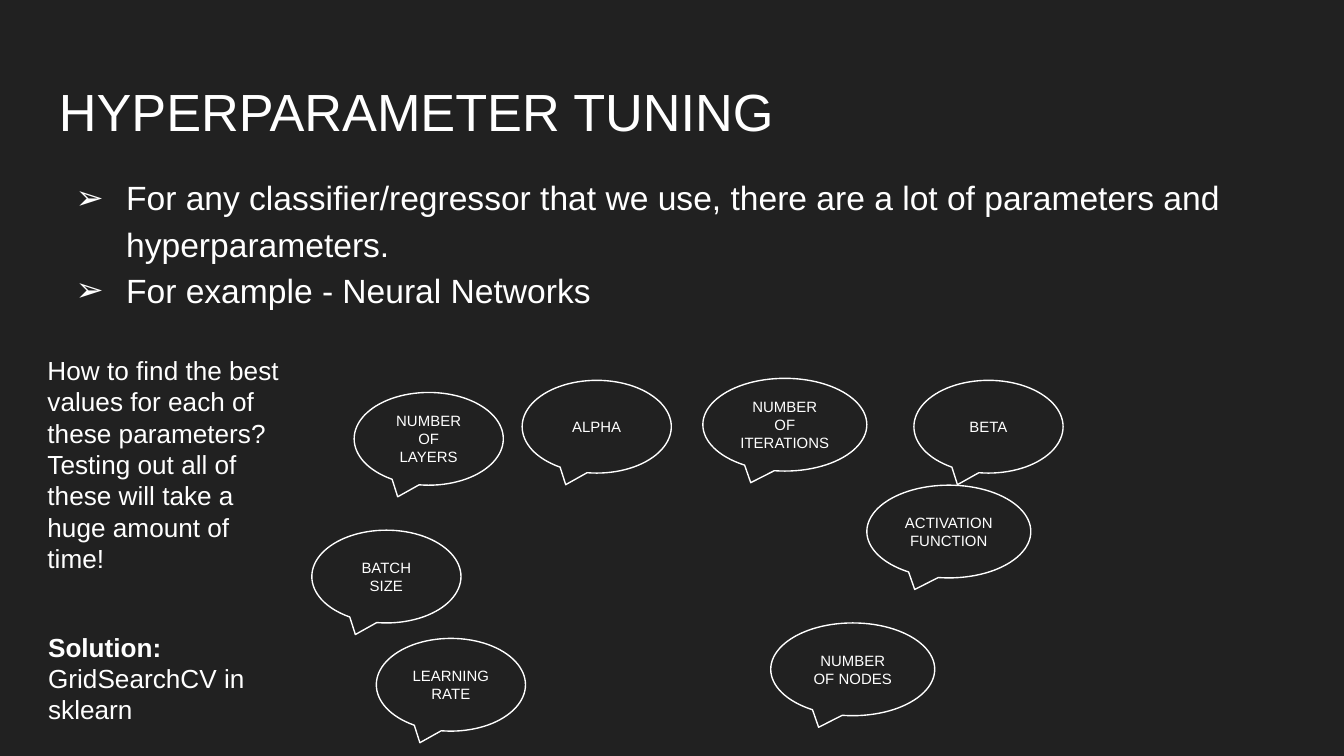
from lxml.etree import SubElement
from pptx import Presentation
from pptx.dml.color import RGBColor
from pptx.enum.shapes import MSO_SHAPE
from pptx.enum.text import MSO_ANCHOR, PP_ALIGN
from pptx.oxml.ns import qn
from pptx.util import Pt

SCALE = 4572  # EMU per px, at 200 px to the inch
COLORS = {"background": "212121", "foreground": "FFFFFF"}
FONT = "Arial"
MARGIN = 20
CALLOUT_HEIGHT = 138
NARROW, WIDE = 222, 244
CALLOUTS = [
    ("NUMBER OF ITERATIONS", 1046, 563, WIDE),
    ("ACTIVATION FUNCTION", 1290, 722, WIDE),
    ("NUMBER OF NODES", 1147, 927, WIDE),
    ("NUMBER OF LAYERS", 527, 584, NARROW),
    ("BATCH SIZE", 464, 789, NARROW),
    ("LEARNING RATE", 560, 950, NARROW),
    ("ALPHA", 777, 566, NARROW),
    ("BETA", 1360, 566, NARROW),
]


def px(value):
    return value * SCALE


def color(name):
    return RGBColor.from_string(COLORS[name])


def style_font(paragraph, size):
    paragraph.font.name = FONT
    paragraph.font.size = Pt(size)
    paragraph.font.color.rgb = color("foreground")


def prepare_frame(shape):
    """Turn on wrapping and give the text equal margins."""
    frame = shape.text_frame
    frame.word_wrap = True
    frame.margin_left = frame.margin_right = px(MARGIN)
    frame.margin_top = frame.margin_bottom = px(MARGIN)
    return frame


def add_bullet(paragraph):
    properties = paragraph._p.get_or_add_pPr()
    properties.set("marL", str(px(100)))
    properties.set("indent", str(px(-75)))
    paragraph.line_spacing = 1.15
    bullet_color = SubElement(properties, qn("a:buClr"))
    SubElement(bullet_color, qn("a:srgbClr"), val=COLORS["foreground"])
    SubElement(properties, qn("a:buFont"), typeface=FONT)
    SubElement(properties, qn("a:buChar"), char="➢")


def add_text(slide, box, paragraphs, size, bulleted=False):
    """Add a text box; each paragraph is a list of (text, bold) runs."""
    frame = prepare_frame(slide.shapes.add_textbox(*map(px, box)))
    for index, runs in enumerate(paragraphs):
        paragraph = frame.paragraphs[0] if index == 0 else frame.add_paragraph()
        for text, bold in runs:
            run = paragraph.add_run()
            run.text = text
            if bold:
                run.font.bold = True
        if bulleted:
            add_bullet(paragraph)
        style_font(paragraph, size)


def add_callout(slide, text, left, top, width):
    shape = slide.shapes.add_shape(
        MSO_SHAPE.OVAL_CALLOUT, px(left), px(top), px(width), px(CALLOUT_HEIGHT))
    shape.adjustments[0] = -0.208
    shape.adjustments[1] = 0.625
    shape.shadow.inherit = False
    shape.fill.background()
    shape.line.color.rgb = color("foreground")
    shape.line.width = Pt(0.75)
    frame = prepare_frame(shape)
    frame.vertical_anchor = MSO_ANCHOR.MIDDLE
    paragraph = frame.paragraphs[0]
    paragraph.add_run().text = text
    paragraph.alignment = PP_ALIGN.CENTER
    style_font(paragraph, 8)


def main():
    presentation = Presentation()
    presentation.slide_width, presentation.slide_height = px(2000), px(1125)
    slide = presentation.slides.add_slide(presentation.slide_layouts[6])
    slide.background.fill.solid()
    slide.background.fill.fore_color.rgb = color("background")

    add_text(slide, (68, 98, 1864, 126), [[("HYPERPARAMETER TUNING", False)]], 28)
    add_text(slide, (68, 235, 1864, 252), [
        [("For any classifier/regressor that we use, there are a lot of "
          "parameters and hyperparameters.", False)],
        [("For example - Neural Networks", False)],
    ], 18, bulleted=True)
    for callout in CALLOUTS:
        add_callout(slide, *callout)
    add_text(slide, (51, 507, 392, 436), [
        [("How to find the best values for each of these parameters?", False)],
        [("Testing out all of these will take a huge amount of time!", False)],
    ], 14)
    add_text(slide, (52, 919, 374, 176), [
        [("Solution: ", True), ("GridSearchCV in sklearn", False)],
    ], 14)

    presentation.save("out.pptx")


if __name__ == "__main__":
    main()
